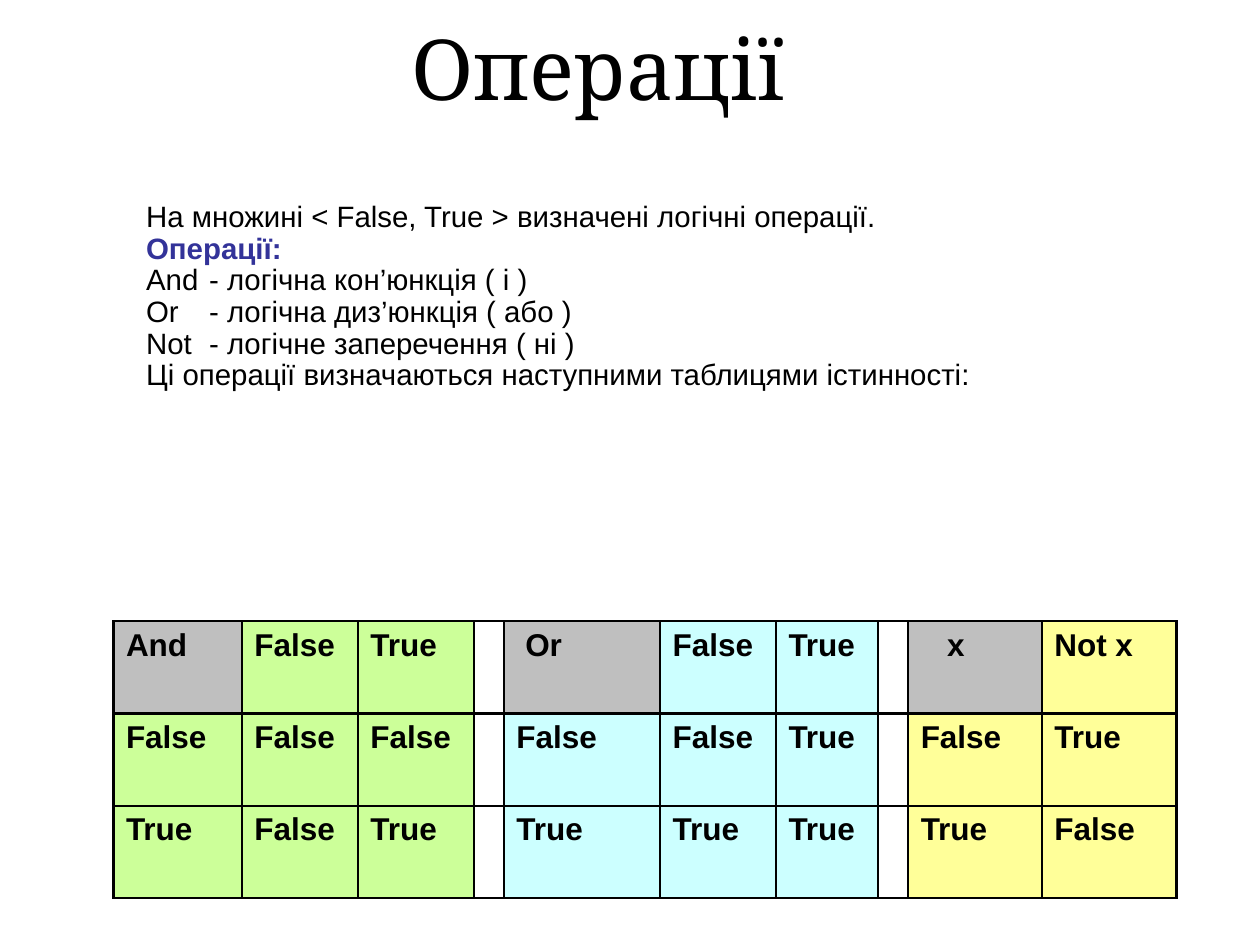
from dataclasses import dataclass

from lxml import etree
from pptx import Presentation
from pptx.dml.color import RGBColor
from pptx.enum.text import MSO_ANCHOR, MSO_AUTO_SIZE, PP_ALIGN
from pptx.oxml.ns import qn
from pptx.util import Inches, Pt

CENTER, LEFT = PP_ALIGN.CENTER, PP_ALIGN.LEFT
TOP, MIDDLE = MSO_ANCHOR.TOP, MSO_ANCHOR.MIDDLE
NO_FIT = MSO_AUTO_SIZE.NONE


@dataclass(frozen=True)
class Theme:
    title_font: str = "Cambria"
    font: str = "Arial"
    title_size: float = 48
    body_size: float = 16.8
    cell_size: float = 18
    border: float = 1.47
    text: str = "000000"
    accent: str = "333399"
    corner: str = "BFBFBF"
    and_fill: str = "CCFF99"
    or_fill: str = "CCFFFF"
    not_fill: str = "FFFF99"


THEME = Theme()

BODY = [
    "На множині < False, True > визначені логічні операції.",
    "Операції:",
    "And\t- логічна кон’юнкція ( і )",
    "Or\t- логічна диз’юнкція ( або )",
    "Not\t- логічне заперечення ( ні )",
    "Ці операції визначаються наступними таблицями істинності:",
]
HEADING = "Операції:"

TRUTH_TABLES = [
    (THEME.and_fill, 0, [["And", "False", "True"],
                         ["False", "False", "False"],
                         ["True", "False", "True"]]),
    (THEME.or_fill, 0.07, [["Or", "False", "True"],
                           ["False", "False", "True"],
                           ["True", "True", "True"]]),
    (THEME.not_fill, 0.21, [["x", "Not x"],
                            ["False", "True"],
                            ["True", "False"]]),
]
COLUMNS = [1.02, 0.92, 0.92, 0.24, 1.24, 0.92, 0.81, 0.24, 1.06, 1.07]


def place(sp, box):
    sp.left, sp.top, sp.width, sp.height = (Inches(v) for v in box)


def add_run(p, text, size, font=THEME.font, color=THEME.text, bold=False):
    r = p.add_run()
    r.text = text
    r.font.name = font
    r.font.size = Pt(size)
    r.font.bold = bold
    r.font.color.rgb = RGBColor.from_string(color)


def add_title(slide, box):
    sp = slide.shapes.title
    place(sp, box)
    tf = sp.text_frame
    tf.auto_size = NO_FIT
    tf.vertical_anchor = MIDDLE
    tf.margin_right = Inches(0.37)
    p = tf.paragraphs[0]
    p.alignment = CENTER
    add_run(p, "Операції", THEME.title_size, THEME.title_font)


def add_body(slide, box):
    sp = slide.placeholders[1]
    place(sp, box)
    tf = sp.text_frame
    tf.auto_size = NO_FIT
    tf.vertical_anchor = TOP
    for i, line in enumerate(BODY):
        p = tf.paragraphs[0] if i == 0 else tf.add_paragraph()
        p.alignment = LEFT
        p.line_spacing = 0.6
        p.space_before = Pt(6)
        pPr = p._p.get_or_add_pPr()
        pPr.set("marL", "0")
        pPr.set("indent", "0")
        etree.SubElement(pPr, qn("a:buNone"))
        heading = line == HEADING
        add_run(p, line, THEME.body_size, bold=heading,
                color=THEME.accent if heading else THEME.text)


def set_borders(cell):
    tcPr = cell._tc.get_or_add_tcPr()
    for side in ("a:lnL", "a:lnR", "a:lnT", "a:lnB"):
        ln = etree.SubElement(tcPr, qn(side), w=str(Pt(THEME.border)))
        fill = etree.SubElement(ln, qn("a:solidFill"))
        etree.SubElement(fill, qn("a:srgbClr"), val=THEME.text)


def fill_cell(cell, text, color, indent):
    cell.fill.solid()
    cell.fill.fore_color.rgb = RGBColor.from_string(color)
    p = cell.text_frame.paragraphs[0]
    p.alignment = LEFT
    if indent:
        p._p.get_or_add_pPr().set("marL", str(Inches(indent)))
    add_run(p, text, THEME.cell_size, bold=True)


def add_truth_tables(slide, box):
    rows = len(TRUTH_TABLES[0][2])
    frame = slide.shapes.add_table(rows, len(COLUMNS), *(Inches(v) for v in box))
    table = frame.table
    table.first_row = table.horz_banding = False
    for column, width in zip(table.columns, COLUMNS):
        column.width = Inches(width)
    for cell in table.iter_cells():
        set_borders(cell)
        cell.fill.background()
    start = 0
    for color, indent, values in TRUTH_TABLES:
        for i, row in enumerate(values):
            for j, text in enumerate(row):
                corner = i == j == 0
                fill_cell(table.cell(i, start + j), text,
                          THEME.corner if corner else color,
                          indent if corner else 0)
        start += len(values[0]) + 1


def main():
    prs = Presentation()
    prs.slide_width, prs.slide_height = Inches(10), Inches(7.5)
    slide = prs.slides.add_slide(prs.slide_layouts[1])
    add_title(slide, (1.22, 0, 7.32, 1.07))
    add_body(slide, (1.06, 1.62, 8.44, 1.61))
    add_truth_tables(slide, (0.9, 4.93, 8.44, 2.2))
    prs.save("out.pptx")


if __name__ == "__main__":
    main()
